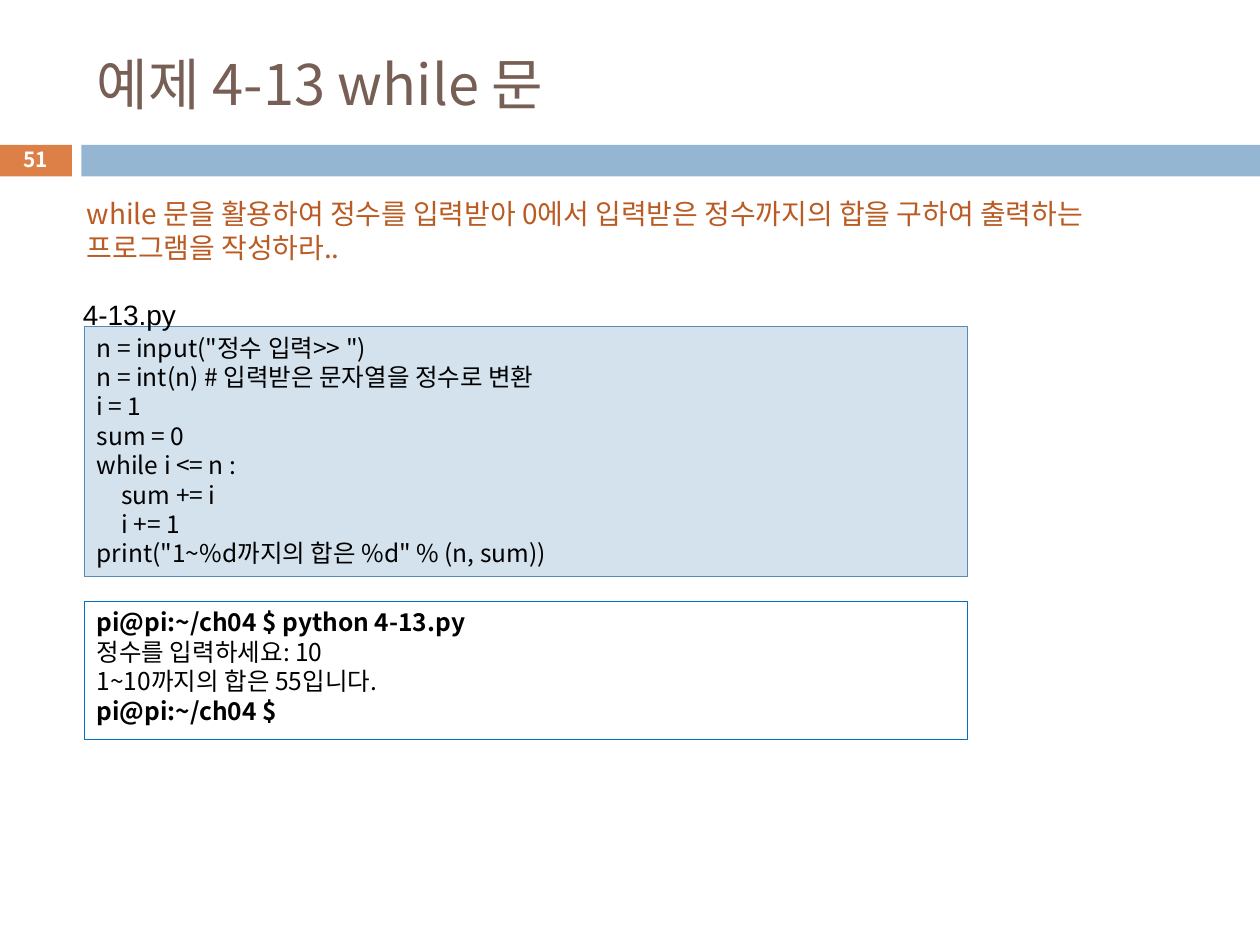
from dataclasses import dataclass

from lxml.etree import SubElement
from pptx import Presentation
from pptx.dml.color import RGBColor
from pptx.enum.shapes import MSO_SHAPE
from pptx.enum.text import MSO_ANCHOR, PP_ALIGN
from pptx.oxml.ns import qn
from pptx.util import Cm, Pt


@dataclass(frozen=True)
class Theme:
    """Colours, fonts and type sizes of the slide."""
    body_font: str = "Noto Sans CJK KR"
    label_font: str = "Arial"
    title: str = "775F55"
    badge: str = "DD8047"
    band: str = "94B6D2"
    task: str = "B95B22"
    code_fill: str = "D4E2ED"
    code_line: str = "558BB8"
    output_line: str = "0070C0"
    ink: str = "000000"
    paper: str = "FFFFFF"
    title_size: float = 32
    task_size: float = 16
    code_size: float = 14
    number_size: float = 11.9


@dataclass(frozen=True)
class Box:
    """A rectangle in centimetres."""
    left: float
    top: float
    width: float
    height: float

    def lengths(self):
        """Return the four lengths in slide units."""
        return Cm(self.left), Cm(self.top), Cm(self.width), Cm(self.height)


THEME = Theme()
TASK = "while 문을 활용하여 정수를 입력받아 0에서 입력받은 정수까지의 합을 구하여 출력하는 프로그램을 작성하라.."
CODE = """n = input("정수 입력>> ")
n = int(n) # 입력받은 문자열을 정수로 변환
i = 1
sum = 0
while i <= n :
\tsum += i
\ti += 1
print("1~%d까지의 합은 %d" % (n, sum))"""
OUTPUT = """pi@pi:~/ch04 $ python 4-13.py
정수를 입력하세요: 10
1~10까지의 합은 55입니다.
pi@pi:~/ch04 $"""


def write(shape, text, size, color, font=THEME.body_font, align=PP_ALIGN.LEFT,
          anchor=MSO_ANCHOR.TOP, wrap=True):
    """Fill a shape with text and format every run."""
    frame = shape.text_frame
    frame.text = text
    frame.word_wrap = wrap
    frame.vertical_anchor = anchor
    for para in frame.paragraphs:
        para.alignment = align
        for span in para.runs:
            span.font.size = Pt(size)
            span.font.name = font
            span.font.color.rgb = RGBColor.from_string(color)
            east_asian = SubElement(span.font._element, qn("a:ea"))
            east_asian.set("typeface", font)
    return frame


def add_panel(page, box, fill=None, line=None):
    """Draw a flat rectangle with optional fill and outline."""
    panel = page.shapes.add_shape(MSO_SHAPE.RECTANGLE, *box.lengths())
    panel.shadow.inherit = False
    if fill:
        panel.fill.solid()
        panel.fill.fore_color.rgb = RGBColor.from_string(fill)
    else:
        panel.fill.background()
    if line:
        panel.line.color.rgb = RGBColor.from_string(line)
        panel.line.width = Pt(0.75)
    else:
        panel.line.fill.background()
    return panel


def add_header(page, box, title, number):
    """Place the title above the numbered band at the foot of the box."""
    badge_width, gap, band_height = 1.47, 0.19, 0.64
    band_top = box.top + box.height - band_height
    band_left = box.left + badge_width + gap
    add_panel(page, Box(box.left, band_top, badge_width, band_height), THEME.badge)
    add_panel(page, Box(band_left, band_top, box.width - badge_width - gap, band_height),
              THEME.band)
    heading = page.shapes.title
    heading.left, heading.top, heading.width, heading.height = Box(
        box.left + 1.72, box.top + 0.64, 22.66, 2.08).lengths()
    write(heading, title, THEME.title_size, THEME.title, anchor=MSO_ANCHOR.MIDDLE)
    number_box = page.shapes.add_textbox(
        *Box(box.left, band_top - 0.05, badge_width, band_height + 0.05).lengths())
    frame = write(number_box, number, THEME.number_size, THEME.paper,
                  align=PP_ALIGN.CENTER, anchor=MSO_ANCHOR.MIDDLE)
    frame.paragraphs[0].runs[0].font.bold = True


def add_task(page, box, text):
    """Place the exercise statement."""
    write(page.shapes.add_textbox(*box.lengths()), text, THEME.task_size, THEME.task)


def add_code(page, box, file_name, code):
    """Place a code listing with its file name above it."""
    listing = add_panel(page, box, THEME.code_fill, THEME.code_line)
    frame = write(listing, code, THEME.code_size, THEME.ink)
    for para in frame.paragraphs:
        tabs = SubElement(para._p.get_or_add_pPr(), qn("a:tabLst"))
        SubElement(tabs, qn("a:tab"), pos=str(Cm(0.5)), algn="l")
    label = page.shapes.add_textbox(
        *Box(box.left - 0.28, box.top - 1.12, 2.44, 1.19).lengths())
    caption = write(label, file_name, THEME.task_size, THEME.ink, THEME.label_font,
                    PP_ALIGN.JUSTIFY, wrap=False)
    caption.paragraphs[0].line_spacing = 1.6


def add_output(page, box, text):
    """Place the terminal output with its prompt lines in bold."""
    terminal = add_panel(page, box, line=THEME.output_line)
    frame = write(terminal, text, THEME.code_size, THEME.ink)
    for para in frame.paragraphs:
        for span in para.runs:
            span.font.bold = para.text.startswith("pi@pi")


def main():
    """Build and save the slide."""
    deck = Presentation()
    deck.slide_width, deck.slide_height = Cm(25.4), Cm(19.05)
    page = deck.slides.add_slide(deck.slide_layouts[5])
    add_header(page, Box(-0.02, 0, 25.42, 3.56), "예제 4-13 while 문", "51")
    add_task(page, Box(1.5, 3.84, 22.66, 1.63), TASK)
    add_code(page, Box(1.7, 6.58, 17.81, 5.05), "4-13.py", CODE)
    add_output(page, Box(1.7, 12.12, 17.81, 2.79), OUTPUT)
    deck.save("out.pptx")


if __name__ == "__main__":
    main()
